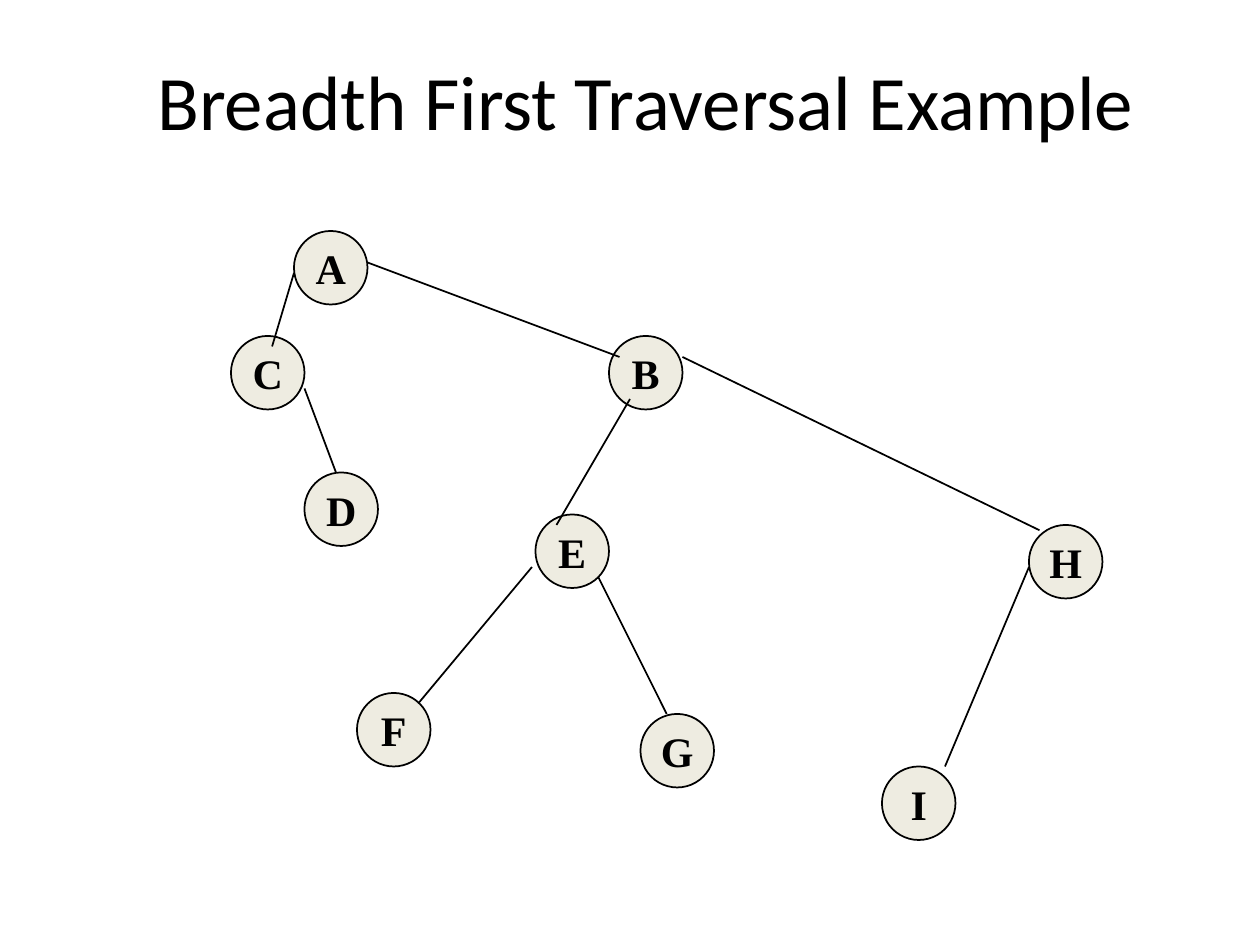
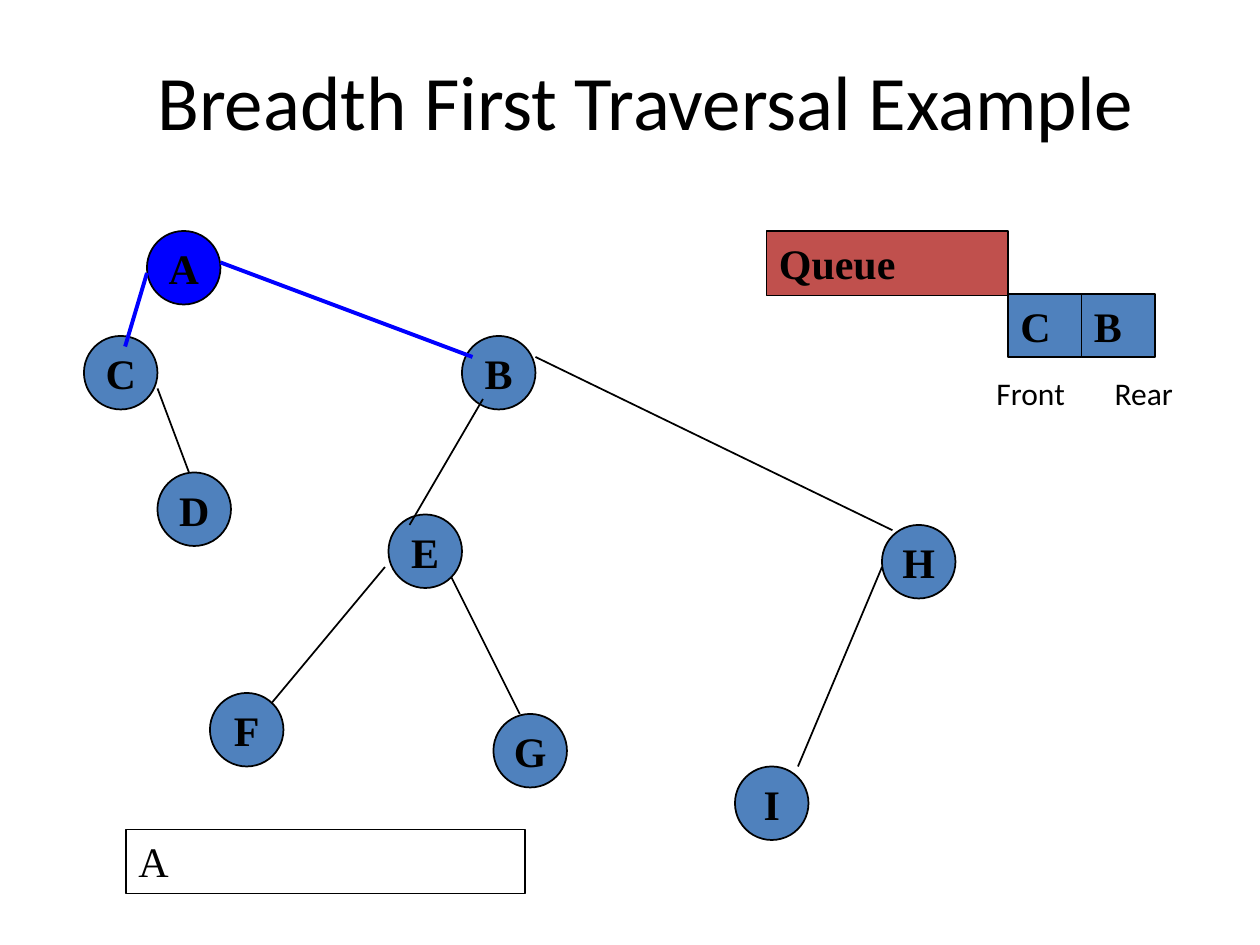
from pptx import Presentation
from pptx.dml.color import RGBColor
from pptx.enum.shapes import MSO_CONNECTOR, MSO_SHAPE
from pptx.enum.text import MSO_ANCHOR, PP_ALIGN
from pptx.oxml.ns import qn
from pptx.util import Pt
from lxml.etree import SubElement

HUES = {"ink": "000000", "sand": "EEECE1", "steel": "4F81BD",
        "brick": "C0504D", "blue": "0000FF"}
SERIF = {"name": "Times New Roman", "size": Pt(24), "bold": True}
PLAIN = {**SERIF, "bold": False}
LABEL = {"name": "Calibri", "size": Pt(18)}
HEAD = {"name": "Calibri", "size": Pt(44)}
MID = {"vertical_anchor": MSO_ANCHOR.MIDDLE, "word_wrap": False}
TOP = {"vertical_anchor": MSO_ANCHOR.TOP, "word_wrap": True}

TITLE = "Breadth First Traversal Example"
NODE = 42
NODES = {"A": (36, 0), "C": (0, 60), "D": (42, 138), "B": (216, 60),
         "E": (174, 162), "F": (72, 264), "G": (234, 276),
         "I": (372, 306), "H": (456, 168)}
EDGES = {"AC": (36, 24, 23.5, 66), "CD": (42, 90, 60, 138),
         "AB": (78, 18, 222, 72), "BE": (228, 96, 186, 168),
         "EF": (172, 192, 107, 270), "EG": (210, 198, 249, 276),
         "BH": (258, 72, 462, 171), "HI": (456, 192, 408, 306)}


def hue(name):
    return RGBColor.from_string(HUES[name])


def apply(item, values):
    for key, value in values.items():
        setattr(item, key, value)


def write(frame, text, font, form, align=PP_ALIGN.LEFT):
    apply(frame, form)
    para = frame.paragraphs[0]
    para.alignment = align
    run = para.add_run()
    run.text = text
    apply(run.font, font)
    run.font.color.rgb = hue("ink")
    return para


def stroke(line, color, width):
    line.color.rgb = hue(color)
    line.width = Pt(width)


def block(shapes, kind, box, text, fill=None, width=0.75, font=SERIF,
          form=MID, align=PP_ALIGN.LEFT):
    shape = shapes.add_shape(kind, *map(Pt, box))
    shape.shadow.inherit = False
    if fill:
        shape.fill.solid()
        shape.fill.fore_color.rgb = hue(fill)
    else:
        shape.fill.background()
    stroke(shape.line, color="ink", width=width)
    write(shape.text_frame, text, font, form, align)


def link(shapes, ends, color, width):
    line = shapes.add_connector(MSO_CONNECTOR.STRAIGHT, *map(Pt, ends))
    stroke(line.line, color, width)
    SubElement(line._element.spPr, qn("a:effectLst"))


def tree(slide, left, top, fill, seen=""):
    shapes = slide.shapes.add_group_shape().shapes
    for name, (x, y) in NODES.items():
        block(shapes, MSO_SHAPE.OVAL, (left + x, top + y, NODE, NODE), name,
              "blue" if name in seen else fill, 1, align=PP_ALIGN.CENTER)
    for pair, (x1, y1, x2, y2) in EDGES.items():
        color, width = ("blue", 2.25) if pair[0] in seen else ("ink", 1)
        link(shapes, (left + x1, top + y1, left + x2, top + y2), color, width)


def queue(slide, left, top, items):
    shapes = slide.shapes.add_group_shape().shapes
    wide, high = 138, 36
    block(shapes, MSO_SHAPE.RECTANGLE, (left, top, wide, high + 0.75),
          "Queue", "brick", form=TOP)
    for i, item in enumerate(items):
        box = (left + wide + i * NODE, top + high, NODE, high)
        block(shapes, MSO_SHAPE.RECTANGLE, box, item, "steel")
    note = slide.shapes.add_textbox(
        *map(Pt, (left + 108, top + 78, 156, 29)))
    form = {**TOP, "margin_left": Pt(23.4)}
    para = write(note.text_frame, "Front\tRear", LABEL, form)
    tabs = SubElement(para._p.get_or_add_pPr(), qn("a:tabLst"))
    SubElement(tabs, qn("a:tab"), pos=str(Pt(67.5)), algn="l")


def visits(slide, left, top, text):
    block(slide.shapes, MSO_SHAPE.RECTANGLE, (left, top, 228, 36.75), text,
          font=PLAIN, form=TOP)


def page(deck):
    slide = deck.slides.add_slide(deck.slide_layouts[5])
    title = slide.shapes.title
    apply(title, {"left": Pt(48), "top": Pt(18),
                  "width": Pt(642), "height": Pt(78)})
    write(title.text_frame, TITLE, HEAD, {**MID, "word_wrap": True},
          PP_ALIGN.CENTER)
    return slide


def main():
    deck = Presentation()
    apply(deck, {"slide_width": Pt(720), "slide_height": Pt(540)})
    tree(page(deck), 132, 132, "sand")
    step = page(deck)
    queue(step, 438, 132, "CB")
    tree(step, 48, 132, "steel", seen="A")
    visits(step, 72, 474, "A")
    deck.save("out.pptx")


if __name__ == "__main__":
    main()
